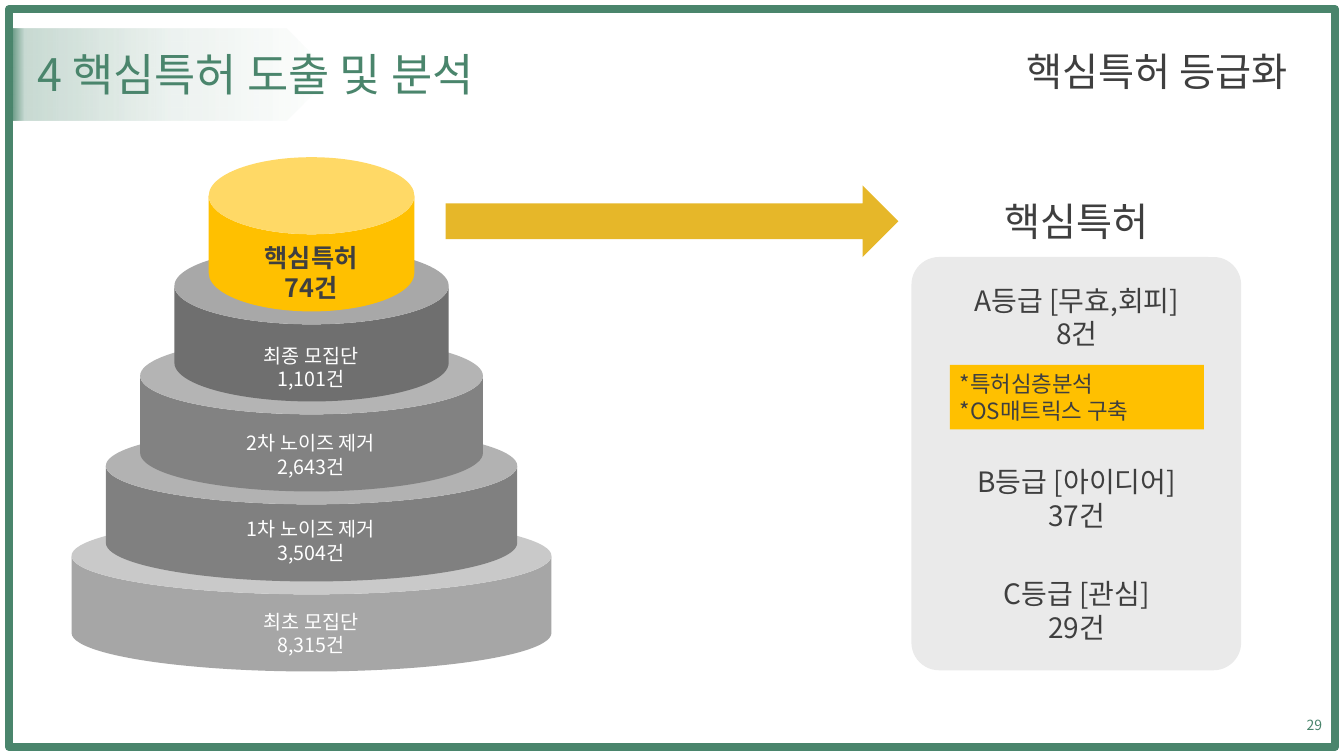
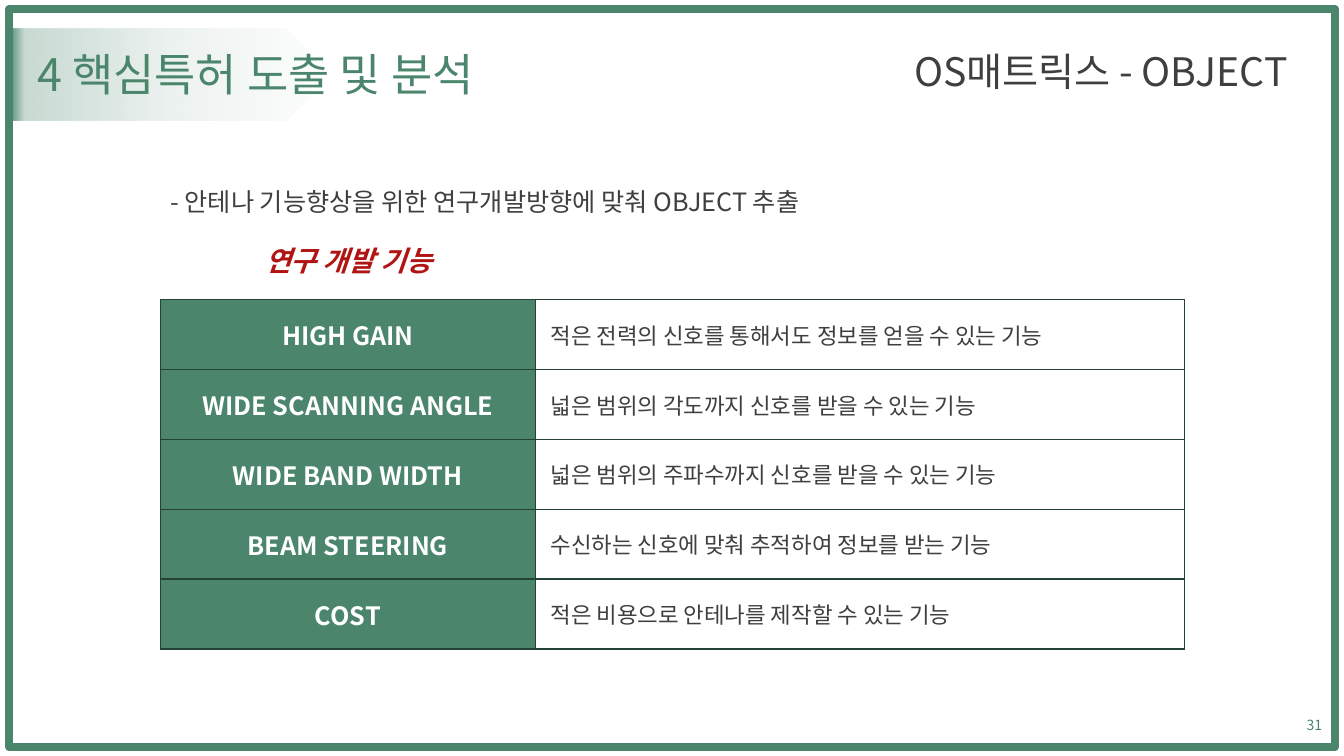
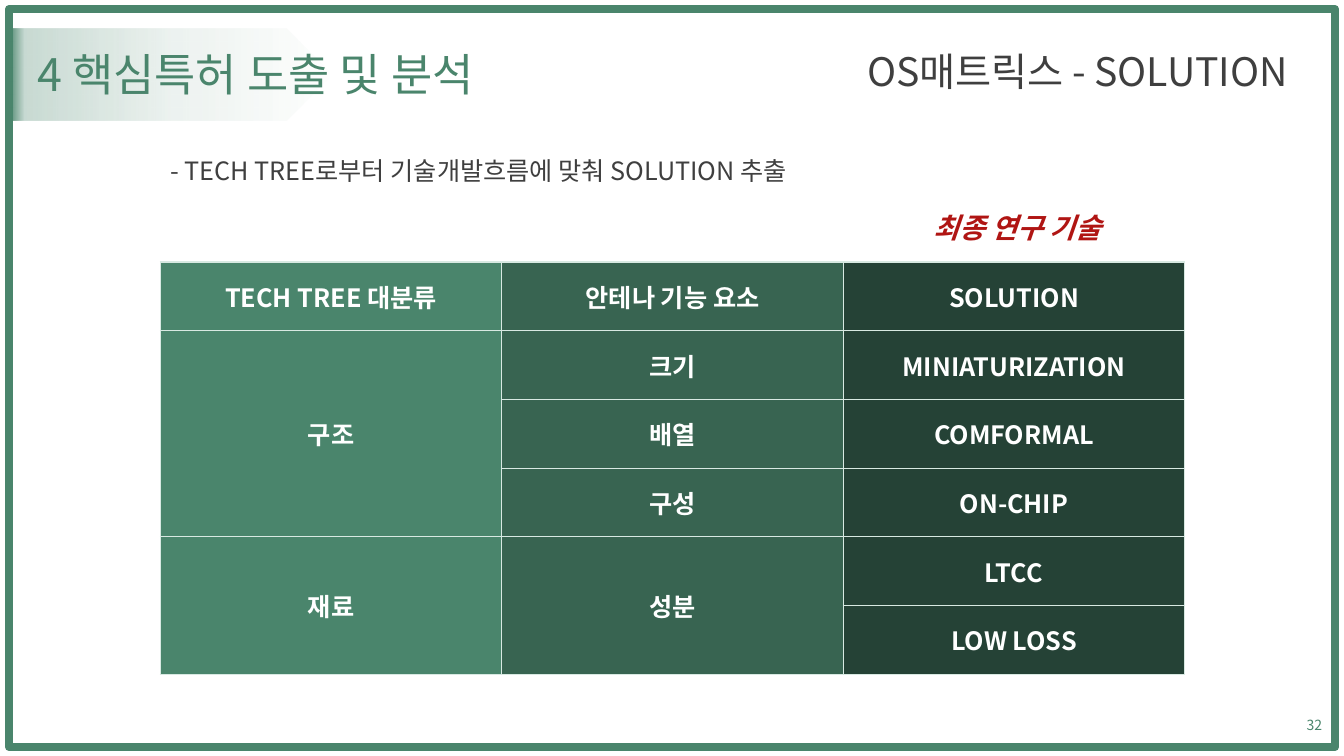
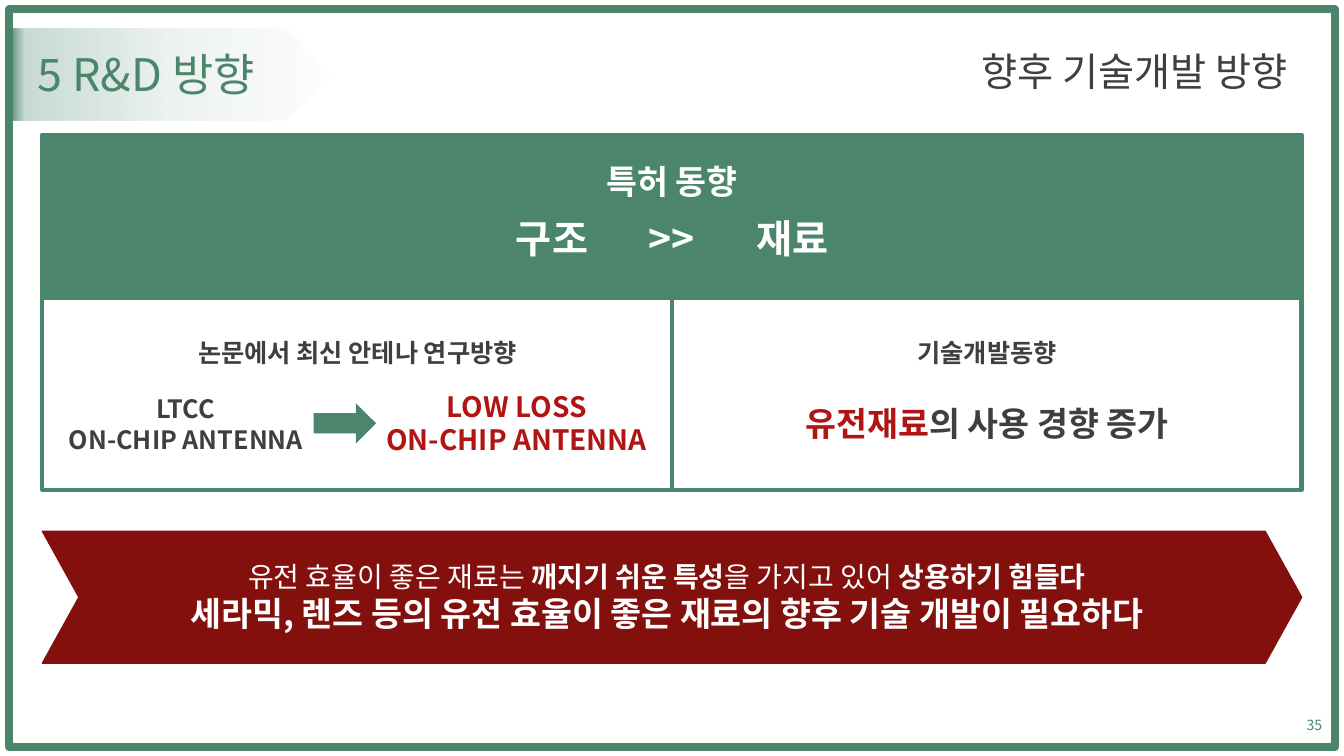
from lxml import etree
from pptx import Presentation
from pptx.dml.color import RGBColor
from pptx.enum.shapes import MSO_SHAPE
from pptx.enum.text import MSO_ANCHOR, MSO_AUTO_SIZE, PP_ALIGN
from pptx.oxml.ns import qn
from pptx.util import Inches, Pt

RECT, ROUND, CAN = MSO_SHAPE.RECTANGLE, MSO_SHAPE.ROUNDED_RECTANGLE, MSO_SHAPE.CAN
ARROW, CHEVRON = MSO_SHAPE.RIGHT_ARROW, MSO_SHAPE.CHEVRON
LEFT, CENTER, RIGHT, JUSTIFY = PP_ALIGN.LEFT, PP_ALIGN.CENTER, PP_ALIGN.RIGHT, PP_ALIGN.JUSTIFY
TOP, MIDDLE = MSO_ANCHOR.TOP, MSO_ANCHOR.MIDDLE

FONT = "Noto Sans CJK KR"
GREEN, MID_GREEN, DARK_GREEN, PALE_GREEN = "4A856C", "386451", "254236", "D8E9E2"
INK, WHITE, RED, DARK_RED = "3F3F3F", "FFFFFF", "B01513", "84100E"
GOLD, OCHRE, PANEL = "FFC000", "E6B729", "EAEAEA"
BAND_STOPS = [(0, 100), (5, 30), (50, 10), (100, 0)]

CORE_TITLE = "4 핵심특허 도출 및 분석"
HEADINGS = [
    (CORE_TITLE, "핵심특허 등급화", 29),
    (CORE_TITLE, "OS매트릭스 - OBJECT", 31),
    (CORE_TITLE, "OS매트릭스 - SOLUTION", 32),
    ("5 R&D 방향", "향후 기술개발 방향", 35),
]

TIERS = [
    ("핵심특허", "74건", GOLD, 2.35),
    ("최종 모집단", "1,101건", "6F6F6F", 3.36),
    ("2차 노이즈 제거", "2,643건", "828282", 4.23),
    ("1차 노이즈 제거", "3,504건", "808080", 5.08),
    ("최초 모집단", "8,315건", "A6A6A6", 6),
]
GRADES = [
    ("A등급 [무효,회피]", "8건", 2.76),
    ("B등급 [아이디어]", "37건", 4.56),
    ("C등급 [관심]", "29건", 5.67),
]
GRADE_NOTES = ["*특허심층분석", "*OS매트릭스 구축"]

OBJECTS = [
    ("HIGH GAIN", "적은 전력의 신호를 통해서도 정보를 얻을 수 있는 기능"),
    ("WIDE SCANNING ANGLE", "넓은 범위의 각도까지 신호를 받을 수 있는 기능"),
    ("WIDE BAND WIDTH", "넓은 범위의 주파수까지 신호를 받을 수 있는 기능"),
    ("BEAM STEERING", "수신하는 신호에 맞춰 추적하여 정보를 받는 기능"),
    ("COST", "적은 비용으로 안테나를 제작할 수 있는 기능"),
]
SOLUTIONS = [
    ("TECH TREE 대분류", "안테나 기능 요소", "SOLUTION"),
    ("구조", "크기", "MINIATURIZATION"),
    (None, "배열", "COMFORMAL"),
    (None, "구성", "ON-CHIP"),
    ("재료", "성분", "LTCC"),
    (None, None, "LOW LOSS"),
]
SOLUTION_MERGES = [((1, 0), (3, 0)), ((4, 0), (5, 0)), ((4, 1), (5, 1))]

TREND_LABELS = [
    ((5.83, 1.55, 1.67, 0.5), ["특허 동향"], 24, WHITE),
    ((4.98, 2.07, 0.99, 0.57), ["구조"], 28, WHITE),
    ((6.28, 2.07, 0.77, 0.57), [">>"], 28, WHITE),
    ((7.37, 2.07, 0.99, 0.57), ["재료"], 28, WHITE),
    ((1.67, 3.3, 3.75, 0.4), ["논문에서 최신 안테나 연구방향"], 18, INK),
    ((8.93, 3.3, 1.72, 0.4), ["기술개발동향"], 18, INK),
    ((7.66, 3.95, 4.26, 0.5), [[("유전재료", {"color": RED}), ("의 사용 경향 증가", {})]], 24, INK),
    ((0.53, 3.85, 2.63, 0.71), ["LTCC", "ON-CHIP ANTENNA"], 18, INK),
    ((3.68, 3.81, 2.89, 0.77), ["LOW LOSS", "ON-CHIP ANTENNA"], 20, RED),
]
BOLD = {"bold": True}
CONCLUSION = [
    [("유전 효율이 좋은 재료는 ", {}), ("깨지기 쉬운 특성", BOLD),
     ("을 가지고 있어 ", {}), ("상용하기 힘들다", BOLD)],
    [("세라믹, 렌즈 등의 유전 효율이 좋은 재료의 향후 기술 개발이 필요하다", {"bold": True, "size": 24})],
]


def rgb(code):
    return RGBColor.from_string(code)


def inches(place):
    return [Inches(length) for length in place]


def style_span(span, size, color, bold=False, italic=False):
    font = span.font
    font.size, font.bold, font.italic, font.name = Pt(size), bold, italic, FONT
    font.color.rgb = rgb(color)
    etree.SubElement(span._r.get_or_add_rPr(), qn("a:ea")).set("typeface", FONT)


def write(frame, lines, align=LEFT, **style):
    for index, line in enumerate(lines):
        para = frame.add_paragraph() if index else frame.paragraphs[0]
        para.alignment = align
        for text, changes in [(line, {})] if isinstance(line, str) else line:
            span = para.add_run()
            span.text = text
            style_span(span, **{**style, **changes})


def add_text(page, place, lines, anchor=TOP, wrap=True, **style):
    frame = page.shapes.add_textbox(*inches(place)).text_frame
    frame.word_wrap, frame.vertical_anchor = wrap, anchor
    write(frame, lines, **style)


def add_block(page, kind, place, fill=None, line=None, width=1, adjust=()):
    block = page.shapes.add_shape(kind, *inches(place))
    block.shadow.inherit = False
    for index, value in enumerate(adjust):
        block.adjustments[index] = value
    if fill:
        block.fill.solid()
        block.fill.fore_color.rgb = rgb(fill)
    else:
        block.fill.background()
    if line:
        block.line.color.rgb = rgb(line)
        block.line.width = Pt(width)
    else:
        block.line.fill.background()
    return block


def fade(block, color, stops):
    block.fill.gradient()
    block.fill.gradient_angle = 0
    stop_list = block._element.spPr.find(".//" + qn("a:gsLst"))
    for stop in list(stop_list):
        stop_list.remove(stop)
    for position, opacity in stops:
        stop = etree.SubElement(stop_list, qn("a:gs"), pos=str(position * 1000))
        tint = etree.SubElement(stop, qn("a:srgbClr"), val=color)
        etree.SubElement(tint, qn("a:alpha"), val=str(opacity * 1000))


def prepare_layout(layout, page):
    frame = add_block(page, RECT, (0.09, 0.09, 13.15, 7.32), line=GREEN, width=6)
    band = add_block(page, ARROW, (0.09, 0.28, 3.21, 0.92), adjust=(1, 0.5))
    fade(band, GREEN, BAND_STOPS)
    for index, block in enumerate((frame, band)):
        layout.shapes._spTree.insert(2 + index, block._element)
    for holder, place in zip(layout.placeholders, [(0.27, 0.43, 5.32, 0.61), (6.87, 0.43, 6, 0.61)]):
        holder.left, holder.top, holder.width, holder.height = inches(place)


def add_heading(page, title, topic, number):
    title_frame = page.shapes.title.text_frame
    topic_frame = page.placeholders[1].text_frame
    for frame in (title_frame, topic_frame):
        frame.vertical_anchor, frame.auto_size = MIDDLE, MSO_AUTO_SIZE.NONE
    write(title_frame, [title], align=JUSTIFY, size=32, color=GREEN)
    para = topic_frame.paragraphs[0]
    settings = para._p.get_or_add_pPr()
    settings.set("marL", "0")
    settings.set("indent", "0")
    etree.SubElement(settings, qn("a:buNone"))
    para.line_spacing, para.space_before = 0.9, Pt(0)
    write(topic_frame, [topic], align=RIGHT, size=28, color=INK)
    add_text(page, (12.6, 6.99, 0.61, 0.4), [str(number)], anchor=MIDDLE,
             align=RIGHT, size=10, color=GREEN)


def add_grid(page, place, rows, widths, fills, border, styles, merges=()):
    table = page.shapes.add_table(len(rows), len(widths), *inches(place)).table
    table.first_row = table.horz_banding = False
    for column, width in zip(table.columns, widths):
        column.width = Inches(width)
    for row_index, row in enumerate(rows):
        table.rows[row_index].height = Inches(place[3] / len(rows))
        for column_index, text in enumerate(row):
            cell = table.cell(row_index, column_index)
            cell.vertical_anchor = MIDDLE
            for side in ("lnL", "lnR", "lnT", "lnB"):
                edge = etree.SubElement(cell._tc.get_or_add_tcPr(), qn("a:" + side), w=str(Pt(1)))
                paint = etree.SubElement(edge, qn("a:solidFill"))
                etree.SubElement(paint, qn("a:srgbClr"), val=border)
            fill = fills[column_index]
            if fill:
                cell.fill.solid()
                cell.fill.fore_color.rgb = rgb(fill)
            else:
                cell.fill.background()
                cell.margin_left = Inches(0.15)
            if text:
                write(cell.text_frame, [text], **styles[column_index])
    for first, last in merges:
        table.cell(*first).merge(table.cell(*last))


def build_grades(page):
    middle, step = 3.09, 0.34
    for index, (name, count, color, label_top) in reversed(list(enumerate(TIERS))):
        half = 1.02 + step * index
        add_block(page, CAN, (middle - half, 1.56 + 0.893 * index, 2 * half, 1.53),
                  fill=color, adjust=(0.5,))
        top_tier = index == 0
        add_text(page, (1.88, label_top, 2.41, 0.71 if top_tier else 0.57), [name, count],
                 align=CENTER, size=18 if top_tier else 14,
                 color=INK if top_tier else WHITE, bold=top_tier)
    add_block(page, ROUND, (9.04, 2.55, 3.27, 4.1), fill=PANEL, adjust=(0.084,))
    add_text(page, (9.39, 1.91, 2.58, 0.57), ["핵심특허"], anchor=MIDDLE,
             align=CENTER, size=28, color=INK)
    for grade, count, top in GRADES:
        add_text(page, (9.33, top, 2.7, 0.77), [grade, count], align=CENTER, size=20, color=INK)
    notes = add_block(page, RECT, (9.42, 3.62, 2.52, 0.64), fill=GOLD).text_frame
    notes.vertical_anchor = TOP
    write(notes, GRADE_NOTES, size=16, color=INK)
    add_block(page, ARROW, (4.42, 1.84, 4.49, 0.71), fill=OCHRE)


HEAD_CELL = {"align": CENTER, "size": 18, "color": WHITE, "bold": True}
CALLOUT = {"wrap": False, "align": CENTER, "size": 20, "color": RED, "bold": True, "italic": True}


def build_objects(page):
    add_text(page, (1.59, 1.8, 10.19, 0.4),
             ["- 안테나 기능향상을 위한 연구개발방향에 맞춰 OBJECT 추출"], size=18, color=INK)
    add_grid(page, (1.59, 2.97, 10.16, 3.47), OBJECTS, (3.72, 6.44), (GREEN, None),
             DARK_GREEN, (HEAD_CELL, {"size": 16, "color": INK}))
    add_text(page, (2.42, 2.37, 2.08, 0.44), ["연구 개발 기능"], **CALLOUT)


def build_solutions(page):
    add_text(page, (1.59, 1.49, 8.06, 0.4),
             ["- TECH TREE로부터 기술개발흐름에 맞춰 SOLUTION 추출"], size=18, color=INK)
    add_grid(page, (1.59, 2.6, 10.16, 4.09), SOLUTIONS, [10.16 / 3] * 3,
             (GREEN, MID_GREEN, DARK_GREEN), PALE_GREEN, [HEAD_CELL] * 3, SOLUTION_MERGES)
    add_text(page, (9.05, 2.04, 2.08, 0.44), ["최종 연구 기술"], **CALLOUT)


def build_directions(page):
    left, width = 0.42, 12.49
    add_block(page, RECT, (left, 1.34, width, 1.61), fill=GREEN, line=GREEN, width=3)
    for index in range(2):
        add_block(page, RECT, (left + index * width / 2, 2.96, width / 2, 1.9), line=GREEN, width=3)
    for place, lines, size, color in TREND_LABELS:
        add_text(page, place, lines, anchor=MIDDLE, wrap=False, align=CENTER,
                 size=size, color=color, bold=True)
    add_block(page, ARROW, (3.11, 4, 0.62, 0.4), fill=GREEN)
    add_block(page, CHEVRON, (left, 5.27, width, 1.31), fill=DARK_RED, line="82100E", adjust=(0.277,))
    add_text(page, (1.1, 5.5, 11.03, 0.84), CONCLUSION, anchor=MIDDLE, wrap=False,
             align=CENTER, size=20, color=WHITE)


def main():
    deck = Presentation()
    deck.slide_width, deck.slide_height = inches((13.33, 7.5))
    layout = deck.slide_layouts[1]
    builders = (build_grades, build_objects, build_solutions, build_directions)
    for index, (heading, build) in enumerate(zip(HEADINGS, builders)):
        page = deck.slides.add_slide(layout)
        if index == 0:
            prepare_layout(layout, page)
        add_heading(page, *heading)
        build(page)
    deck.save("out.pptx")


if __name__ == "__main__":
    main()
